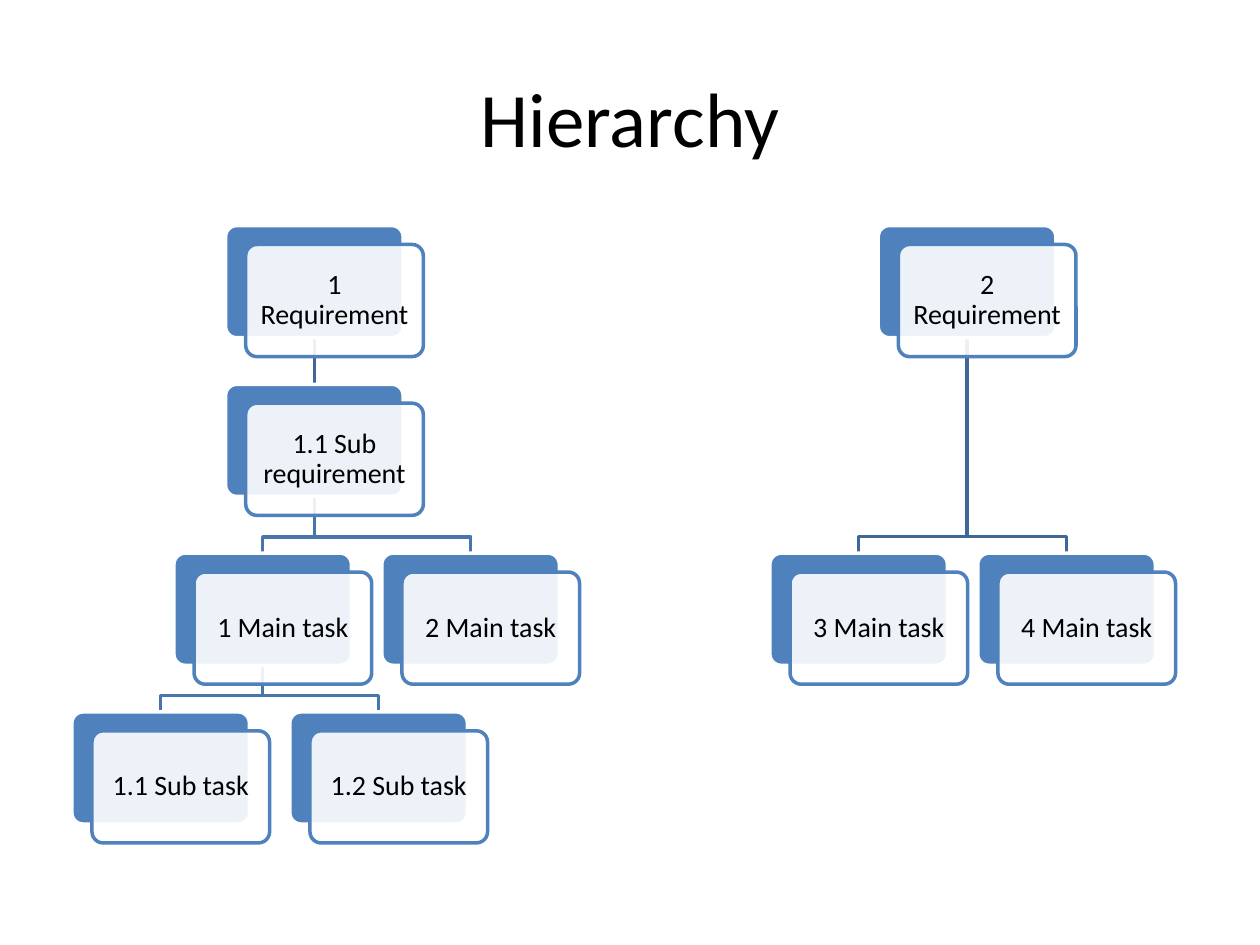
import pptx
import pptx.util
import pptx.dml.color
import pptx.enum.shapes
import pptx.enum.text
import pptx.oxml
import pptx.oxml.ns
from dataclasses import dataclass

Inches = pptx.util.Inches
Pt = pptx.util.Pt
Shape = pptx.enum.shapes.MSO_SHAPE
Align = pptx.enum.text.PP_ALIGN
Anchor = pptx.enum.text.MSO_ANCHOR

TITLE = "Hierarchy"
NODES = {
    "req1": ("1 Requirement", 1.79, 0, None),
    "sub": ("1.1 Sub requirement", 1.79, 1, "req1"),
    "main1": ("1 Main task", 1.38, 2, "sub"),
    "sub1": ("1.1 Sub task", 0.57, 3, "main1"),
    "sub2": ("1.2 Sub task", 2.3, 3, "main1"),
    "main2": ("2 Main task", 3.03, 2, "sub"),
    "req2": ("2 Requirement", 6.97, 0, None),
    "main3": ("3 Main task", 6.11, 2, "req2"),
    "main4": ("4 Main task", 7.76, 2, "req2"),
}
ROWS = (1.79, 3.05, 4.39, 5.65)
WIDE, HIGH = 1.41, 0.89
SHIFT_X, SHIFT_Y = 0.16, 0.15
DROP = 0.13
INSET = 0.07


@dataclass
class Theme:
    font: str = "Calibri"
    title: int = 44
    body: int = 16
    line: int = 2
    ink: str = "000000"
    blue: str = "4F81BD"
    white: str = "FFFFFF"
    top: str = "3F6797"
    low: str = "4875AC"
    alpha: int = 90


theme = Theme()


def rgb(code):
    return pptx.dml.color.RGBColor.from_string(code)


def style(para, size):
    para.alignment = Align.CENTER
    for run in para.runs:
        run.font.name = theme.font
        run.font.size = Pt(size)
        run.font.color.rgb = rgb(theme.ink)


def stroke(shape, code):
    shape.line.color.rgb = rgb(code)
    shape.line.width = Pt(theme.line)


def link(shapes, kid):
    _, left, row, boss = NODES[kid]
    if boss is None:
        return
    _, over, level, _ = NODES[boss]
    x, y = over + WIDE / 2, ROWS[level] + HIGH
    end, base = left + WIDE / 2, ROWS[row]
    if x == end:
        wire = shapes.add_connector(
            pptx.enum.shapes.MSO_CONNECTOR.STRAIGHT,
            Inches(x), Inches(y), Inches(end), Inches(base))
        pptx.oxml.ns.qn("a:effectLst")
        wire._element.spPr.append(pptx.oxml.parse_xml(
            "<a:effectLst %s/>" % pptx.oxml.ns.nsdecls("a")))
    else:
        bend = base - DROP
        path = shapes.build_freeform(Inches(x), Inches(y))
        path.add_line_segments(
            [(Inches(a), Inches(b)) for a, b in ((x, bend), (end, bend), (end, base))],
            close=False)
        wire = path.convert_to_shape()
        wire.fill.background()
        wire.shadow.inherit = False
    stroke(wire, theme.low if level else theme.top)


def card(shapes, x, y, fill, line):
    box = shapes.add_shape(Shape.ROUNDED_RECTANGLE,
                           Inches(x), Inches(y), Inches(WIDE), Inches(HIGH))
    box.adjustments[0] = 0.1
    box.shadow.inherit = False
    box.fill.solid()
    box.fill.fore_color.rgb = rgb(fill)
    stroke(box, line)
    return box


def node(shapes, text, left, row, boss):
    top = ROWS[row]
    card(shapes, left, top, theme.blue, theme.white)
    front = card(shapes, left + SHIFT_X, top + SHIFT_Y, theme.white, theme.blue)
    tint = front._element.spPr.find(".//" + pptx.oxml.ns.qn("a:srgbClr"))
    tint.append(pptx.oxml.parse_xml('<a:alpha %s val="%d"/>' % (
        pptx.oxml.ns.nsdecls("a"), theme.alpha * 1000)))
    frame = front.text_frame
    frame.word_wrap = True
    frame.vertical_anchor = Anchor.MIDDLE
    for side in ("left", "right", "top", "bottom"):
        setattr(frame, "margin_" + side, Inches(INSET))
    frame.text = text
    frame.paragraphs[0].line_spacing = 0.9
    style(frame.paragraphs[0], theme.body)


deck = pptx.Presentation()
deck.slide_width, deck.slide_height = Inches(10), Inches(7.5)
slide = deck.slides.add_slide(deck.slide_layouts[5])
head = slide.shapes.title
head.left, head.top, head.width, head.height = map(Inches, (0.5, 0.3, 9, 1.25))
head.text_frame.text = TITLE
head.text_frame.vertical_anchor = Anchor.MIDDLE
style(head.text_frame.paragraphs[0], theme.title)
for name in NODES:
    link(slide.shapes, name)
for item in NODES.values():
    node(slide.shapes, *item)
deck.save("out.pptx")
